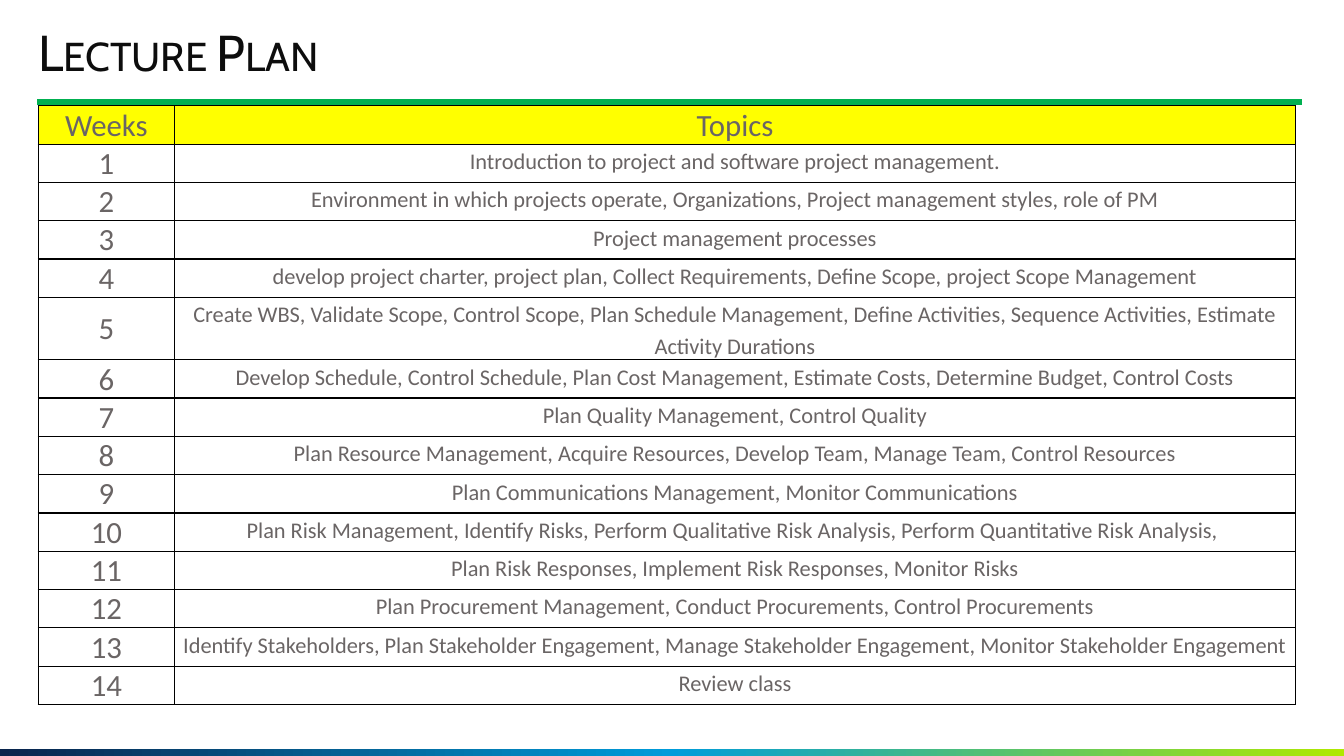
import copy

import pptx
import pptx.chart.data
import pptx.dml.color
import pptx.enum.shapes
import pptx.enum.text
import pptx.oxml
import pptx.oxml.ns
import pptx.util
from pptx.util import Inches

COLOURS = {
    "title": "0D0D0D", "rule": "00B050", "text": "6A6565", "outline": "1451AB",
    "header": "FFFF00", "border": "000000",
    "navy": "09244C", "blue": "009CDA", "lime": "B0E900",
}
TOPICS = [
    "Introduction to project and software project management.",
    "Environment in which projects operate, Organizations, Project management styles, role of PM",
    "Project management processes",
    "develop project charter, project plan, Collect Requirements, Define Scope, project Scope Management",
    "Create WBS, Validate Scope, Control Scope, Plan Schedule Management, Define Activities, "
    "Sequence Activities, Estimate Activity Durations",
    "Develop Schedule, Control Schedule, Plan Cost Management, Estimate Costs, Determine Budget, Control Costs",
    "Plan Quality Management, Control Quality",
    "Plan Resource Management, Acquire Resources, Develop Team, Manage Team, Control Resources",
    "Plan Communications Management, Monitor Communications",
    "Plan Risk Management, Identify Risks, Perform Qualitative Risk Analysis, "
    "Perform Quantitative Risk Analysis, ",
    "Plan Risk Responses, Implement Risk Responses, Monitor Risks",
    "Plan Procurement Management, Conduct Procurements, Control Procurements",
    "Identify Stakeholders, Plan Stakeholder Engagement, Manage Stakeholder Engagement, "
    "Monitor Stakeholder Engagement",
    "Review class",
]
TALL_WEEK = 5
CENTRE = pptx.enum.text.PP_ALIGN.CENTER
MIDDLE = pptx.enum.text.MSO_ANCHOR.MIDDLE
TOP = pptx.enum.text.MSO_ANCHOR.TOP


def rgb(name):
    return pptx.dml.color.RGBColor.from_string(COLOURS[name])


def line_xml(tag, colour, points):
    width = pptx.util.Pt(points)
    return pptx.oxml.parse_xml(
        f'<a:{tag} {pptx.oxml.ns.nsdecls("a")} w="{width}"><a:solidFill>'
        f'<a:srgbClr val="{COLOURS[colour]}"/></a:solidFill></a:{tag}>')


def write(para, text, *, size, font, colour, align=CENTRE, spacing=None, after=None,
          small_caps=False, outline=None):
    para.alignment = align
    if spacing:
        para.line_spacing = spacing
    if after:
        para.space_after = pptx.util.Pt(after)
    span = para.add_run()
    span.text = text
    span.font.size = pptx.util.Pt(size)
    span.font.name = font
    span.font.color.rgb = rgb(colour)
    properties = span.font._element
    if small_caps:
        properties.set("cap", "small")
    if outline:
        properties.insert(0, line_xml("ln", outline, 0.75))


class LecturePage:
    """Hold the style and the current slide of the lecture deck."""

    def __init__(self, deck):
        self.heading_font = "Cabin"
        self.body_font = "Calibri"
        self.page = deck.slides.add_slide(deck.slide_layouts[5])

    def title(self, text, left, top, width, height):
        box = self.page.shapes.title
        box.left, box.top, box.width, box.height = map(Inches, (left, top, width, height))
        frame = box.text_frame
        frame.margin_left = frame.margin_right = frame.margin_top = frame.margin_bottom = 0
        frame.vertical_anchor = MIDDLE
        frame.word_wrap = True
        frame.auto_size = pptx.enum.text.MSO_AUTO_SIZE.SHAPE_TO_FIT_TEXT
        write(frame.paragraphs[0], text, size=36, font=self.heading_font, colour="title",
              align=pptx.enum.text.PP_ALIGN.LEFT, spacing=0.9, small_caps=True)

    def gradient_bar(self, left, top, width, height, names):
        bar = self.page.shapes.add_shape(pptx.enum.shapes.MSO_SHAPE.RECTANGLE,
                                         *map(Inches, (left, top, width, height)))
        bar.shadow.inherit = False
        bar.line.fill.background()
        bar.fill.gradient()
        bar.fill.gradient_angle = 0
        first = bar.fill.gradient_stops[0]._gs
        first.addnext(copy.deepcopy(first))
        for index, (stop, name) in enumerate(zip(bar.fill.gradient_stops, names)):
            stop.position = index / (len(names) - 1)
            stop.color.rgb = rgb(name)

    def rule(self, left, right, top, points):
        line = self.page.shapes.add_connector(pptx.enum.shapes.MSO_CONNECTOR.STRAIGHT,
                                              *map(Inches, (left, top, right, top)))
        line.line.color.rgb = rgb("rule")
        line.line.width = pptx.util.Pt(points)
        line._element.spPr.append(
            pptx.oxml.parse_xml(f'<a:effectLst {pptx.oxml.ns.nsdecls("a")}/>'))

    def cell(self, cell, text, size, margins, anchor, fill=None, **form):
        cell.margin_left, cell.margin_top, cell.margin_right, cell.margin_bottom = map(Inches, margins)
        cell.vertical_anchor = anchor
        properties = cell._tc.get_or_add_tcPr()
        for index, side in enumerate(("lnL", "lnR", "lnT", "lnB")):
            properties.insert(index, line_xml(side, "border", 1))
        if fill:
            cell.fill.solid()
            cell.fill.fore_color.rgb = rgb(fill)
        else:
            cell.fill.background()
        write(cell.text_frame.paragraphs[0], text, size=size, font=self.body_font,
              colour="text", outline="outline", **form)

    def plan(self, left, top, widths, row_height, tall_height):
        heights = [row_height] * (len(TOPICS) + 1)
        heights[TALL_WEEK] = tall_height
        frame = self.page.shapes.add_table(
            len(heights), len(widths),
            *map(Inches, (left, top, sum(widths), sum(heights))))
        table = frame.table
        table.first_row = table.horz_banding = False
        for column, width in zip(table.columns, widths):
            column.width = Inches(width)
        for row, height in zip(table.rows, heights):
            row.height = Inches(height)
        label = {"size": 22, "margins": (0.01, 0.01, 0.01, 0), "anchor": MIDDLE}
        topic_style = {"size": 16, "margins": (0.07, 0, 0.07, 0), "anchor": TOP,
                       "spacing": 1.15, "after": 10}
        for column, heading in enumerate(("Weeks", "Topics")):
            self.cell(table.cell(0, column), heading, fill="header", **label)
        for week, topic in enumerate(TOPICS, 1):
            self.cell(table.cell(week, 0), str(week), **label)
            self.cell(table.cell(week, 1), topic, **topic_style)


def main():
    deck = pptx.Presentation()
    deck.slide_width, deck.slide_height = Inches(13.33), Inches(7.5)
    lecture = LecturePage(deck)
    lecture.gradient_bar(0, 7.43, 13.33, 0.07, ("navy", "blue", "lime"))
    lecture.rule(0.37, 12.91, 1.01, 4.5)
    lecture.title("Lecture Plan", 0.38, 0.27, 11.19, 0.55)
    lecture.plan(0.38, 1.05, (1.35, 11.12), 0.38, 0.62)
    deck.save("out.pptx")


if __name__ == "__main__":
    main()
